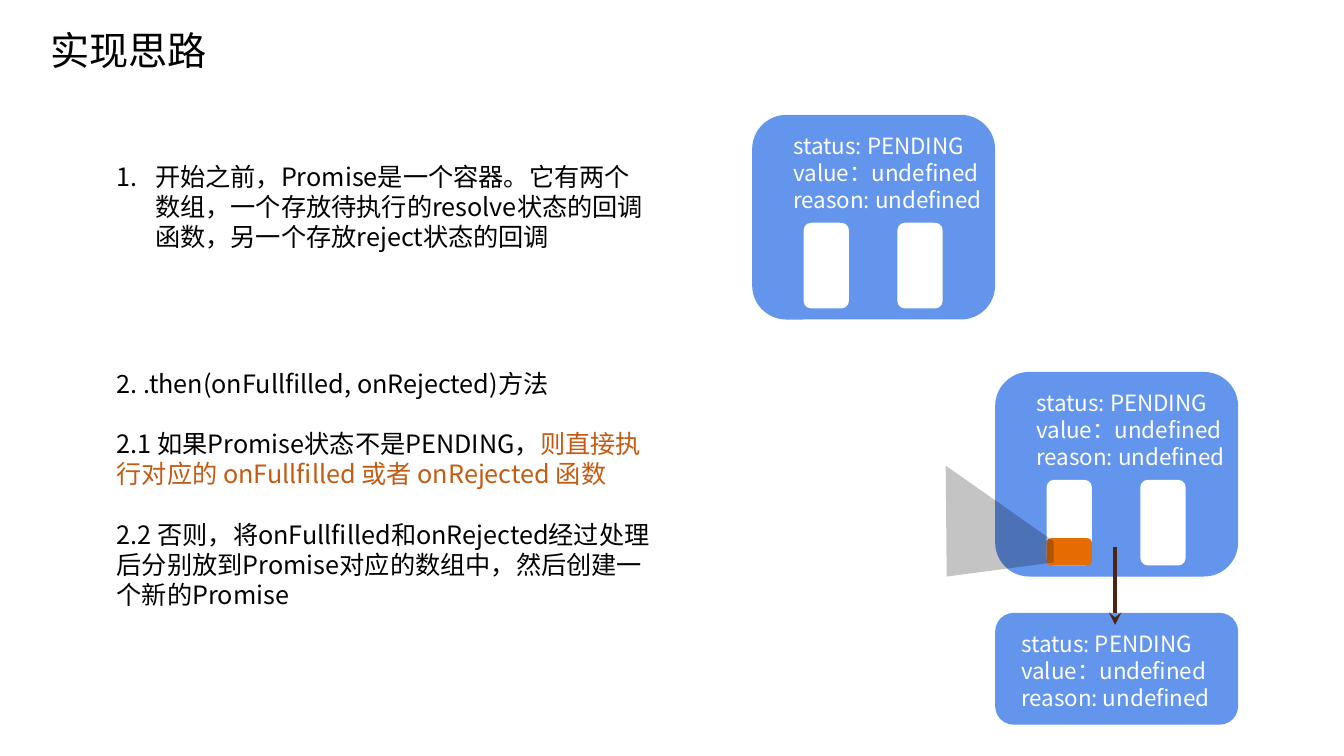
from dataclasses import dataclass

from lxml.etree import SubElement
from pptx import Presentation
from pptx.dml.color import RGBColor
from pptx.enum.shapes import MSO_CONNECTOR, MSO_SHAPE
from pptx.enum.text import MSO_ANCHOR, PP_ALIGN
from pptx.oxml.ns import qn
from pptx.util import Inches, Pt

FONT = "Noto Sans CJK SC"
BLACK, WHITE, BLUE = "000000", "FFFFFF", "6395EC"
ORANGE, RUST, BROWN = "E66C02", "C55A11", "482514"
STATE = ["status: PENDING", "value：undefined", "reason: undefined"]
INTRO = "开始之前，Promise是一个容器。它有两个数组，一个存放待执行的resolve状态的回调函数，另一个存放reject状态的回调"
THEN = "2. .then(onFullfilled, onRejected)方法"
IF_DONE = "2.1 如果Promise状态不是PENDING，"
RUN_NOW = "则直接执行对应的 onFullfilled 或者 onRejected 函数"
ELSE = "2.2 否则，将onFullfilled和onRejected经过处理后分别放到Promise对应的数组中，然后创建一个新的Promise"


@dataclass
class Box:
    left: float
    top: float
    width: float
    height: float

    def emu(self):
        return [Inches(n) for n in (self.left, self.top, self.width, self.height)]


@dataclass
class Promise:
    """A container with its state text and, if it has them, two arrays."""
    left: float
    top: float
    height: float
    indent: float
    arrays: bool


PROMISES = [
    Promise(7.46, 1.14, 2.03, 0.31, True),
    Promise(9.87, 3.69, 2.03, 0.31, True),
    Promise(9.87, 6.08, 1.11, 0.16, False),
]


def paint(target, color: str):
    """Give a fill or a line fill one solid colour."""
    target.solid()
    target.fore_color.rgb = RGBColor.from_string(color)


def style(par, size: int, color: str):
    """Set the font of a paragraph, with a line pitch of 1.2 times its size."""
    par.line_spacing = Pt(size * 1.2)
    par.font.size = Pt(size)
    par.font.name = FONT
    paint(par.font.fill, color)
    props = par._p.pPr.find(qn("a:defRPr"))
    SubElement(props, qn("a:ea")).set("typeface", FONT)


def add_text(slide, box: Box, lines: list[str], size: int, color: str, gap: float = 0):
    frame = slide.shapes.add_textbox(*box.emu()).text_frame
    frame.word_wrap = True
    for i, line in enumerate(lines):
        par = frame.add_paragraph() if i else frame.paragraphs[0]
        par.text = line
        if i and gap:
            par.space_before = Pt(gap)
        style(par, size, color)
    return frame


def add_round(slide, box: Box, color: str):
    shape = slide.shapes.add_shape(MSO_SHAPE.ROUNDED_RECTANGLE, *box.emu())
    shape.shadow.inherit = False
    paint(shape.fill, color)
    shape.line.fill.background()


def add_promise(slide, item: Promise):
    add_round(slide, Box(item.left, item.top, 2.41, item.height), BLUE)
    if item.arrays:
        for i in range(2):
            add_round(slide, Box(item.left + 0.51 + 0.93 * i, item.top + 1.07, 0.45, 0.85), WHITE)
    add_text(slide, Box(item.left + item.indent, item.top + 0.12, 2.41, 1.18), STATE, 16, WHITE)


def add_title(slide):
    title = slide.shapes.title
    title.left, title.top, title.width, title.height = Box(0.4, 0.21, 1.77, 0.57).emu()
    frame = title.text_frame
    frame.text = "实现思路"
    frame.word_wrap = False
    frame.vertical_anchor = MSO_ANCHOR.TOP
    par = frame.paragraphs[0]
    par.alignment = PP_ALIGN.LEFT
    style(par, 28, BLACK)


def add_steps(slide):
    frame = add_text(slide, Box(1.06, 1.55, 5.43, 1.01), [INTRO], 18, BLACK)
    props = frame.paragraphs[0]._p.get_or_add_pPr()
    props.set("marL", str(Inches(0.38)))
    props.set("indent", str(-Inches(0.38)))
    mark = SubElement(props, qn("a:buAutoNum"))
    mark.set("type", "arabicPeriod")
    props.find(qn("a:defRPr")).addprevious(mark)

    frame = add_text(slide, Box(1.06, 3.6, 5.61, 2.52), [THEN, IF_DONE, ELSE], 18, BLACK, 21.6)
    run = frame.paragraphs[1].add_run()
    run.text = RUN_NOW
    paint(run.font.fill, RUST)


def add_beam(slide):
    """Draw the see-through wedge that widens out from the queued callback."""
    spots = [(9.38, 4.62), (9.39, 5.72), (10.45, 5.58), (10.45, 5.37)]
    first, *rest = [(Inches(x), Inches(y)) for x, y in spots]
    path = slide.shapes.build_freeform(*first)
    path.add_line_segments(rest, close=True)
    beam = path.convert_to_shape()
    beam.shadow.inherit = False
    paint(beam.fill, BLACK)
    beam.line.fill.background()
    tint = beam._element.spPr.find(qn("a:solidFill"))[0]
    SubElement(tint, qn("a:alpha")).set("val", "23000")


def add_arrow(slide):
    ends = [Inches(n) for n in (11.06, 5.43, 11.06, 6.2)]
    arrow = slide.shapes.add_connector(MSO_CONNECTOR.STRAIGHT, *ends)
    paint(arrow.line.fill, BROWN)
    arrow.line.width = Pt(3)
    props = arrow._element.spPr
    SubElement(props.find(qn("a:ln")), qn("a:tailEnd")).set("type", "stealth")
    SubElement(props, qn("a:effectLst"))


def main():
    deck = Presentation()
    deck.slide_width, deck.slide_height = Inches(13.33), Inches(7.5)
    slide = deck.slides.add_slide(deck.slide_layouts[5])
    add_title(slide)
    add_steps(slide)
    for item in PROMISES:
        add_promise(slide, item)
    add_round(slide, Box(10.38, 5.34, 0.45, 0.27), ORANGE)
    add_beam(slide)
    add_arrow(slide)
    deck.save("out.pptx")


if __name__ == "__main__":
    main()
